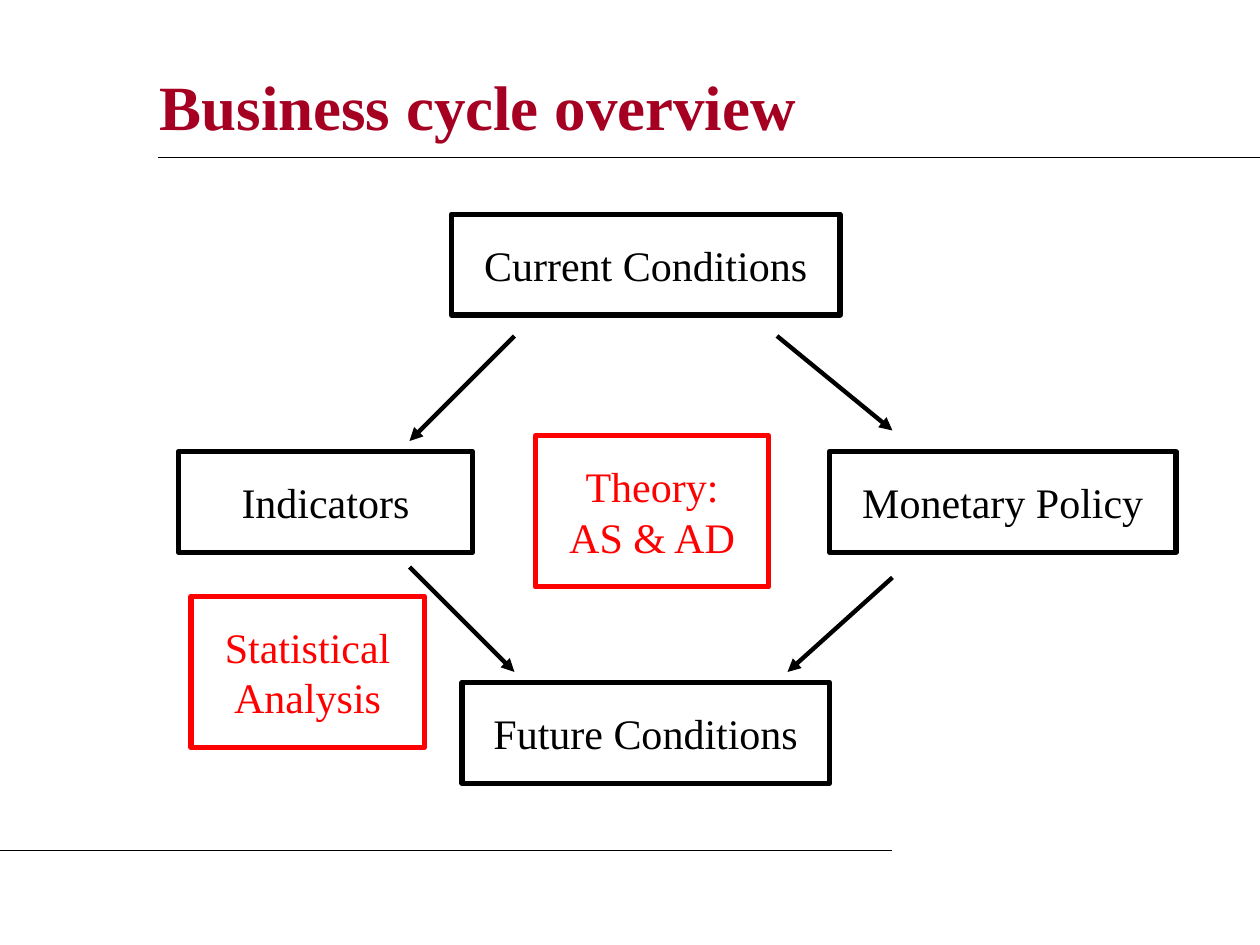
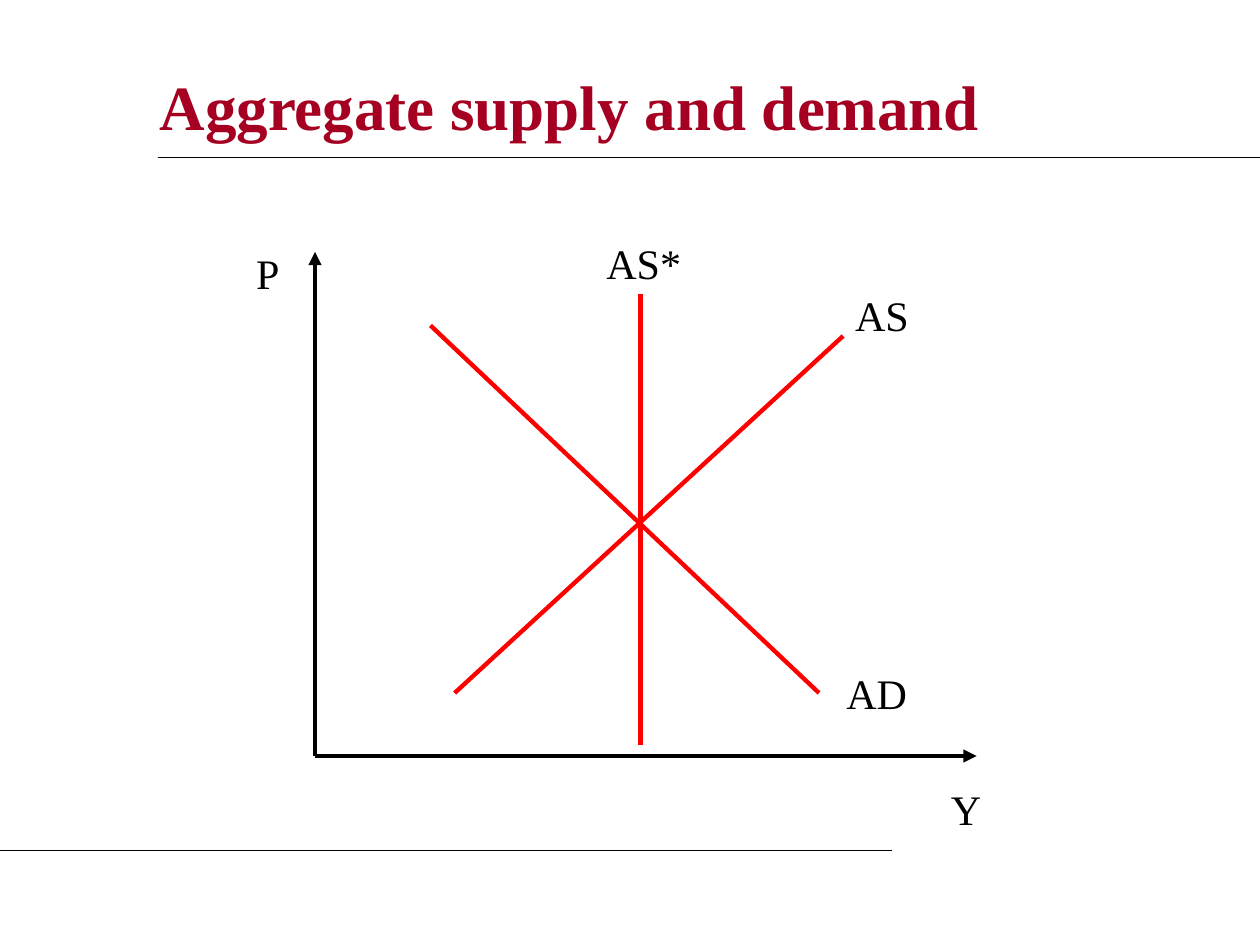
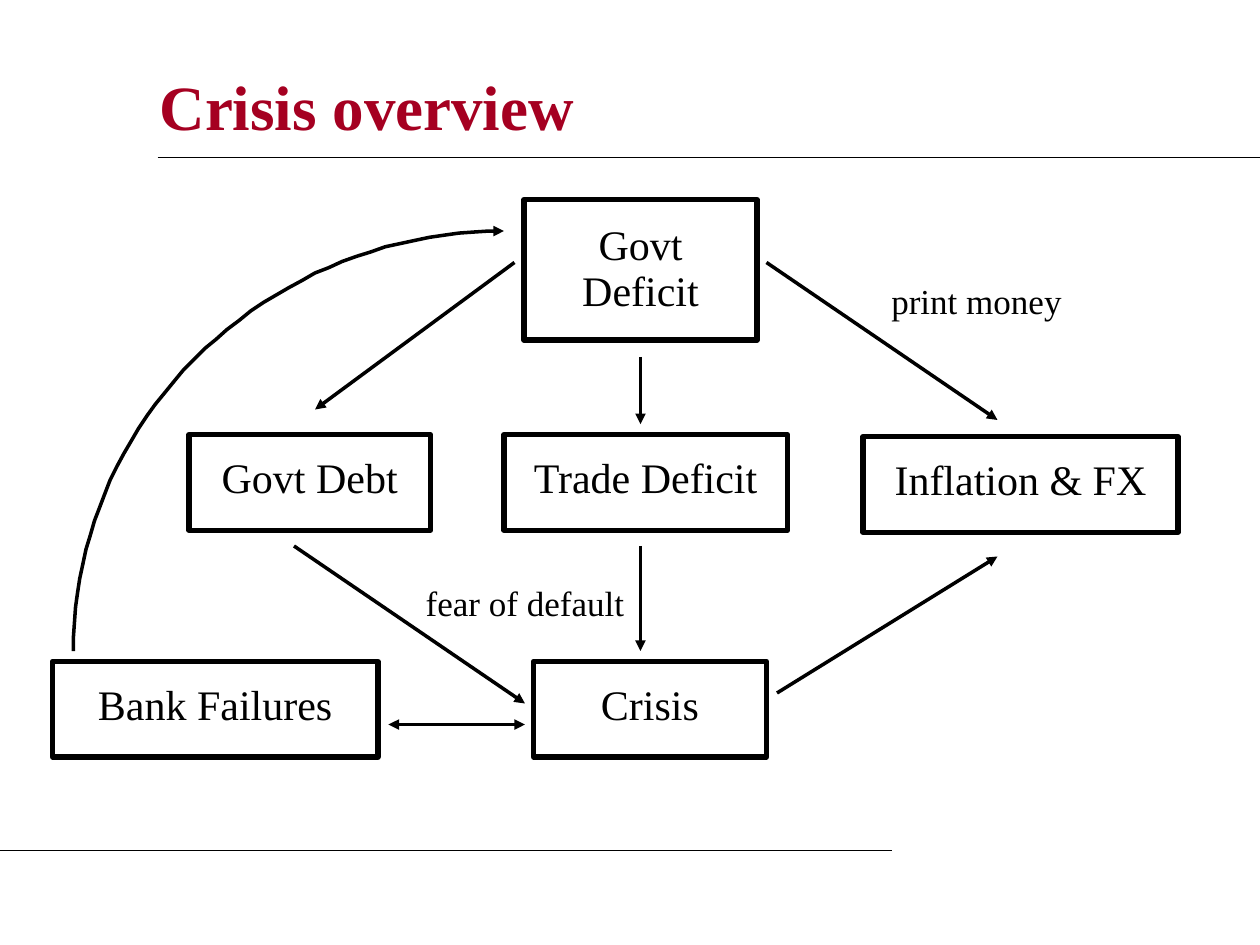
from math import cos, pi, sin

from lxml.etree import SubElement
from pptx import Presentation
from pptx.dml.color import RGBColor
from pptx.enum.shapes import MSO_CONNECTOR, MSO_SHAPE
from pptx.enum.text import MSO_ANCHOR, MSO_AUTO_SIZE, PP_ALIGN
from pptx.oxml.ns import qn
from pptx.util import Emu, Pt

PX = 7620
SLIDE_SIZE = (1200, 900)
FONT = "Times New Roman"
BLACK, RED, CRIMSON = "000000", "FF0000", "A50021"

TITLE_FRAME = {"vertical_anchor": MSO_ANCHOR.MIDDLE, "word_wrap": True, "auto_size": MSO_AUTO_SIZE.NONE}
TITLE_PARAGRAPH = {"alignment": PP_ALIGN.LEFT}
BOX_FRAME = {"vertical_anchor": MSO_ANCHOR.TOP, "word_wrap": True, "auto_size": MSO_AUTO_SIZE.SHAPE_TO_FIT_TEXT}
BOX_INSETS = dict.fromkeys(("margin_left", "margin_top", "margin_right", "margin_bottom"), Emu(24 * PX))
LOOSE = {"alignment": PP_ALIGN.CENTER, "space_before": Pt(15)}
TIGHT = {"alignment": PP_ALIGN.CENTER, "space_before": Pt(6), "line_spacing": 0.9}
NOTE = {"alignment": PP_ALIGN.CENTER, "space_before": Pt(12.5)}


def px(*lengths):
    """Turn px lengths into EMU."""
    return [Emu(round(length * PX)) for length in lengths]


def rgb(code):
    """Turn a hex string into a colour."""
    return RGBColor.from_string(code)


def apply(target, formats):
    """Set each format value on the target."""
    for name, value in formats.items():
        setattr(target, name, value)


class Deck:
    """Holds the shared style and the current slide."""

    def __init__(self):
        """Start an empty presentation of the right size."""
        self.presentation = Presentation()
        apply(self.presentation, dict(zip(("slide_width", "slide_height"), px(*SLIDE_SIZE))))

    def wording(self, frame, words, frame_format, paragraph_format, size, color, bold=False):
        """Put one styled paragraph in a text frame."""
        apply(frame, frame_format)
        frame.text = words
        paragraph = frame.paragraphs[0]
        apply(paragraph, paragraph_format)
        font = paragraph.runs[0].font
        apply(font, {"name": FONT, "size": Pt(size), "bold": bold})
        font.color.rgb = rgb(color)

    def outline(self, shape, color, weight, ends=()):
        """Give a shape its line, with arrowheads at the named ends."""
        shape.line.color.rgb = rgb(color)
        shape.line.width = Pt(weight)
        edge = shape._element.spPr.find(qn("a:ln"))
        for end in ends:
            SubElement(edge, qn(f"a:{end}End"), type="triangle")

    def start(self, heading, width=970):
        """Add a slide with its title and the two rules."""
        layout = self.presentation.slide_layouts[5]
        self.slide = self.presentation.slides.add_slide(layout)
        title = self.slide.shapes.title
        apply(title, dict(zip(("left", "top", "width", "height"), px(140, 50, width, 100))))
        self.wording(title.text_frame, heading, TITLE_FRAME, TITLE_PARAGRAPH, 36, CRIMSON, True)
        self.line((150, 150, 1200, 150), weight=0.75)
        self.line((0, 810, 850, 810), weight=0.75)

    def line(self, ends, color=BLACK, weight=2.5, heads=()):
        """Draw a straight line from one point to another."""
        line = self.slide.shapes.add_connector(MSO_CONNECTOR.STRAIGHT, *px(*ends))
        self.outline(line, color, weight, heads)
        SubElement(line._element.spPr, qn("a:effectLst"))

    def box(self, words, place, paragraph_format, color=BLACK):
        """Draw an outlined box with centred text."""
        box = self.slide.shapes.add_shape(MSO_SHAPE.RECTANGLE, *px(*place))
        box.shadow.inherit = False
        box.fill.background()
        self.outline(box, color, 3)
        self.wording(box.text_frame, words, BOX_FRAME | BOX_INSETS, paragraph_format, 24, color)

    def label(self, words, place, paragraph_format=LOOSE, size=24):
        """Add a free-standing label."""
        label = self.slide.shapes.add_textbox(*px(*place))
        self.wording(label.text_frame, words, BOX_FRAME, paragraph_format, size, BLACK)

    def quarter_curve(self, left, top, width, height, steps=45):
        """Draw a quarter ellipse from bottom left to an arrowhead at top right."""
        angles = [pi / 2 * step / steps for step in range(steps + 1)]
        points = [(left + width * (1 - cos(angle)), top + height * (1 - sin(angle))) for angle in angles]
        builder = self.slide.shapes.build_freeform(*points[0], scale=PX)
        builder.add_line_segments(points[1:], close=False)
        curve = builder.convert_to_shape()
        curve.shadow.inherit = False
        curve.fill.background()
        self.outline(curve, BLACK, 2, ("tail",))


def business_cycle(deck):
    """Build the business cycle flow."""
    deck.start("Business cycle overview")
    for stage, place in (
        ("Current Conditions", (430, 204, 370, 96)),
        ("Indicators", (170, 430, 280, 96)),
        ("Monetary Policy", (790, 430, 330, 96)),
        ("Future Conditions", (440, 650, 350, 96)),
    ):
        deck.box(stage, place, LOOSE)
    for tool, place in (
        ("Theory: AS & AD", (510, 415, 222, 144)),
        ("Statistical Analysis", (182, 568, 222, 144)),
    ):
        deck.box(tool, place, LOOSE, RED)
    for step in (
        (490, 320, 390, 420),
        (740, 320, 850, 410),
        (390, 540, 490, 640),
        (850, 550, 750, 640),
    ):
        deck.line(step, heads=("tail",))


def supply_and_demand(deck):
    """Build the supply and demand diagram."""
    deck.start("Aggregate supply and demand", 1020)
    for axis in ((300, 720, 930, 720), (300, 720, 300, 240)):
        deck.line(axis, heads=("tail",))
    for curve in ((433, 660, 803, 320), (780, 660, 410, 310), (610, 710, 610, 280)):
        deck.line(curve, RED)
    for name, left, top, width in (
        ("Y", 880, 740, 80),
        ("P", 220, 230, 70),
        ("AS", 800, 270, 80),
        ("AD", 780, 630, 110),
        ("AS*", 563, 220, 100),
    ):
        deck.label(name, (left, top, width, 60))


def crisis(deck):
    """Build the crisis flow."""
    deck.start("Crisis overview")
    for event, place in (
        ("Govt Deficit", (499, 190, 222, 134)),
        ("Govt Debt", (180, 414, 230, 91)),
        ("Trade Deficit", (480, 414, 270, 91)),
        ("Inflation & FX", (822, 416, 300, 91)),
        ("Bank Failures", (50, 630, 310, 91)),
        ("Crisis", (508, 630, 222, 91)),
    ):
        deck.box(event, place, TIGHT)
    for effect in (
        (490, 250, 300, 390),
        (730, 250, 950, 400),
        (610, 340, 610, 404),
        (610, 520, 610, 620),
        (280, 520, 500, 670),
        (740, 660, 950, 530),
    ):
        deck.line(effect, weight=2, heads=("tail",))
    deck.line((370, 690, 500, 690), weight=2, heads=("head", "tail"))
    deck.label("fear of default", (370, 548, 260, 53), NOTE, 20)
    deck.label("print money", (800, 260, 260, 53), NOTE, 20)
    deck.quarter_curve(70, 220, 410, 400)


def main():
    """Build the slides and save them."""
    deck = Deck()
    for build in (business_cycle, supply_and_demand, crisis):
        build(deck)
    deck.presentation.save("out.pptx")


if __name__ == "__main__":
    main()
